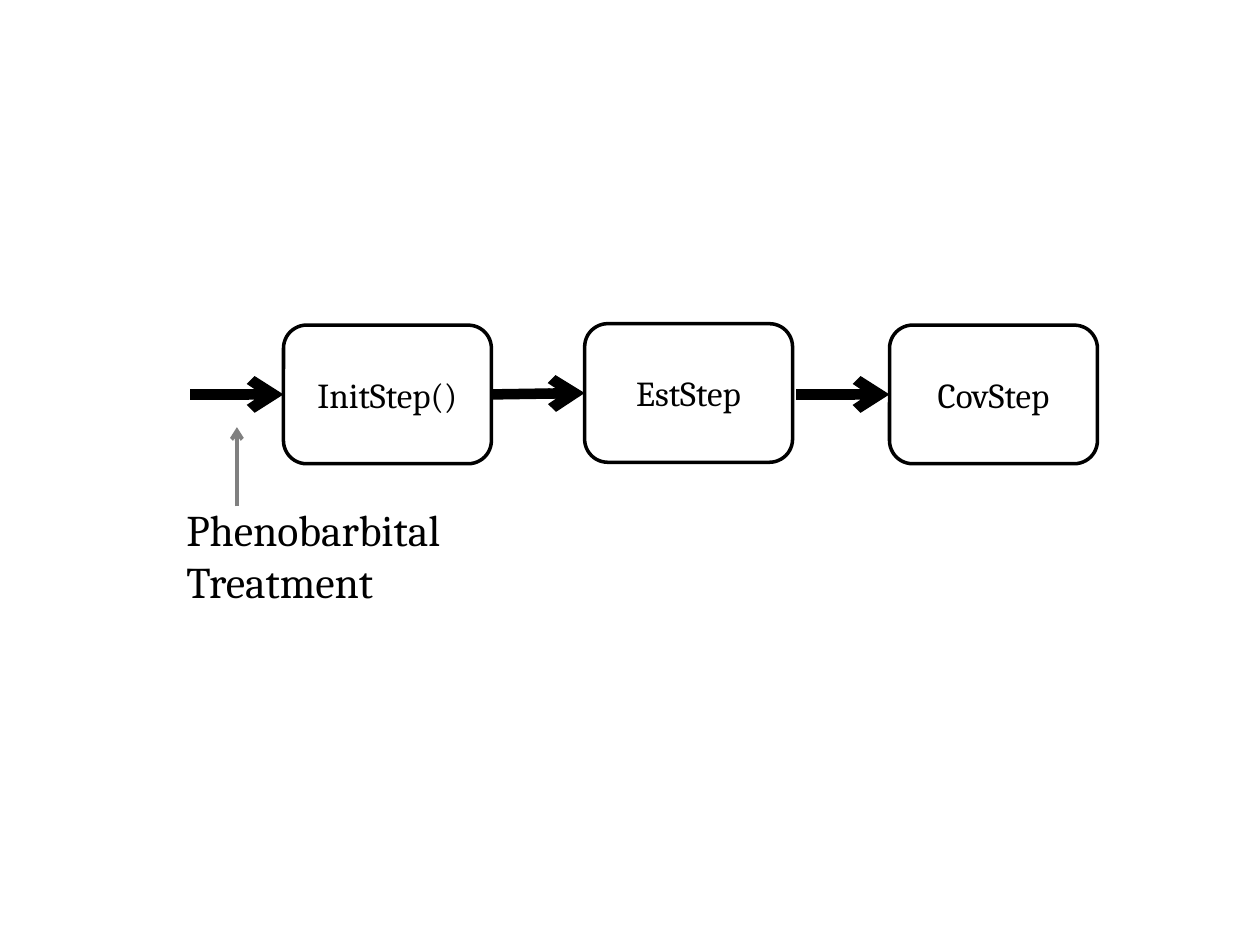
import dataclasses
from typing import Any, Optional

import pptx
import pptx.dml.color
import pptx.enum.dml
import pptx.enum.shapes
import pptx.enum.text
import pptx.oxml
import pptx.oxml.ns
import pptx.util

Pt = pptx.util.Pt
RGB = pptx.dml.color.RGBColor
ALIGN = pptx.enum.text.PP_ALIGN
ANCHOR = pptx.enum.text.MSO_ANCHOR
LEFT_SIDE, RIGHT_SIDE = 1, 3


@dataclasses.dataclass(frozen=True)
class Theme:
    font: str = "Cambria"
    ink: RGB = RGB(0x00, 0x00, 0x00)
    pointer: RGB = RGB(0x80, 0x80, 0x80)
    step_size: float = 20
    caption_size: float = 25
    outline: float = 2
    flow_width: float = 6
    pointer_width: float = 2.25


@dataclasses.dataclass(frozen=True)
class Step:
    label: str
    left: float
    top: float
    arrow_start: float
    follows_previous: bool = False


THEME = Theme()
STEP_WIDTH, STEP_HEIGHT = 118.8, 79.2
STEPS = [
    Step("InitStep()", 162, 185.8, 108.7),
    Step("EstStep", 334.1, 185, 280.8, follows_previous=True),
    Step("CovStep", 508.3, 185.8, 455),
]


def write_text(shape: Any, text: str, *, size: float, color: RGB = THEME.ink,
               align: ALIGN = ALIGN.LEFT, anchor: ANCHOR = ANCHOR.TOP) -> None:
    frame = shape.text_frame
    frame.word_wrap = True
    frame.vertical_anchor = anchor
    paragraph = frame.paragraphs[0]
    paragraph.alignment = align
    run = paragraph.add_run()
    run.text = text
    run.font.name = THEME.font
    run.font.size = Pt(size)
    run.font.color.rgb = color


def draw_step(slide: Any, step: Step) -> Any:
    box = slide.shapes.add_shape(
        pptx.enum.shapes.MSO_SHAPE.ROUNDED_RECTANGLE,
        Pt(step.left), Pt(step.top), Pt(STEP_WIDTH), Pt(STEP_HEIGHT))
    box.shadow.inherit = False
    box.fill.background()
    box.line.color.rgb = THEME.ink
    box.line.width = Pt(THEME.outline)
    write_text(box, step.label, size=THEME.step_size,
               align=ALIGN.CENTER, anchor=ANCHOR.MIDDLE)
    return box


def draw_arrow(slide: Any, start: tuple[float, float], end: tuple[float, float],
               *, color: RGB, width: float) -> Any:
    arrow = slide.shapes.add_connector(
        pptx.enum.shapes.MSO_CONNECTOR.STRAIGHT, *map(Pt, start + end))
    arrow.line.color.rgb = color
    arrow.line.width = Pt(width)
    namespace = pptx.oxml.ns.nsdecls("a")
    arrow.line._get_or_add_ln().append(
        pptx.oxml.parse_xml(f'<a:tailEnd {namespace} type="arrow"/>'))
    arrow._element.spPr.append(pptx.oxml.parse_xml(f"<a:effectLst {namespace}/>"))
    return arrow


def draw_flow(slide: Any, steps: list[Step]) -> None:
    previous_box: Optional[Any] = None
    for step in steps:
        box = draw_step(slide, step)
        middle = step.top + STEP_HEIGHT / 2
        arrow = draw_arrow(slide, (step.arrow_start, middle), (step.left, middle),
                           color=THEME.ink, width=THEME.flow_width)
        if step.follows_previous and previous_box is not None:
            arrow.begin_connect(previous_box, RIGHT_SIDE)
        arrow.end_connect(box, LEFT_SIDE)
        previous_box = box


def draw_treatment(slide: Any) -> None:
    caption = slide.shapes.add_textbox(Pt(99.4), Pt(283.7), Pt(258.5), Pt(37.4))
    write_text(caption, "Phenobarbital Treatment", size=THEME.caption_size)
    draw_arrow(slide, (135.4, 289.4), (135.4, 244.1),
               color=THEME.pointer, width=THEME.pointer_width)


def main() -> None:
    presentation = pptx.Presentation()
    presentation.slide_width, presentation.slide_height = Pt(720), Pt(540)
    slide = presentation.slides.add_slide(presentation.slide_layouts[6])
    draw_flow(slide, STEPS)
    draw_treatment(slide)
    presentation.save("out.pptx")


if __name__ == "__main__":
    main()
